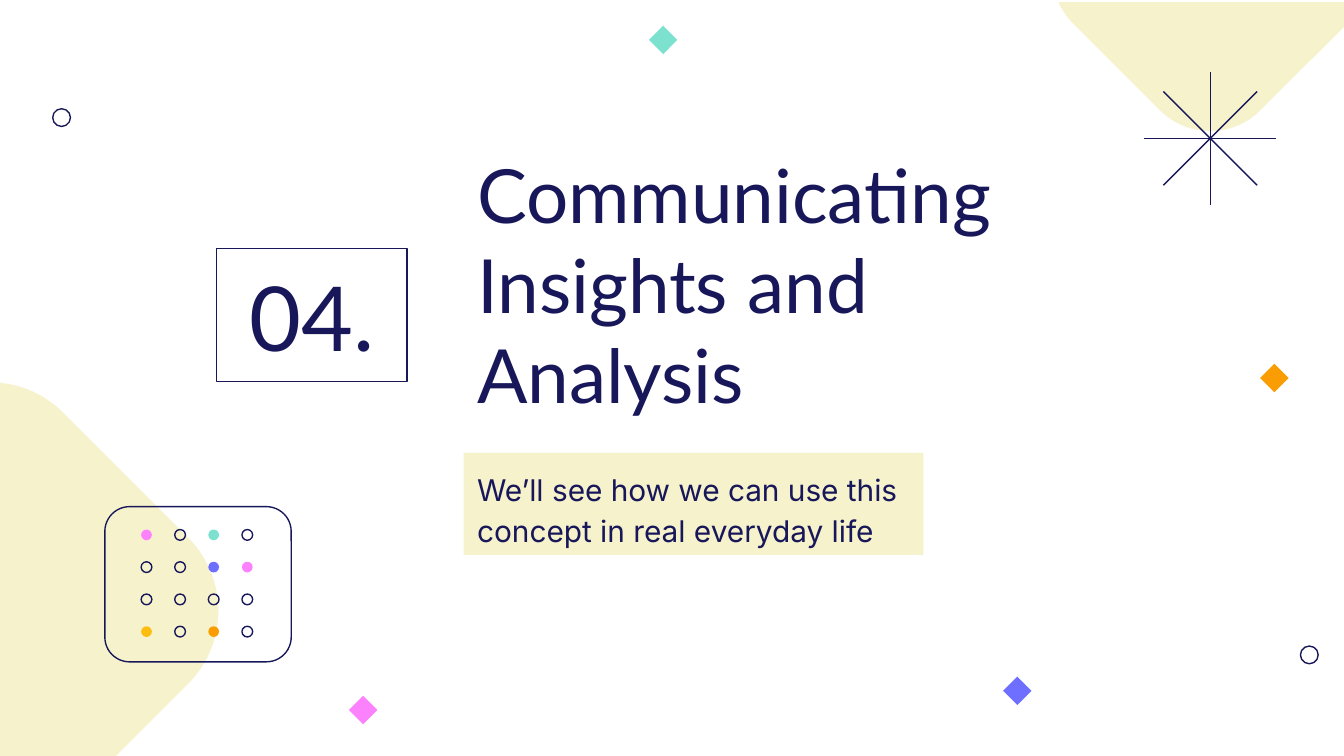
from math import cos, radians, sin

from lxml.etree import SubElement
from pptx import Presentation
from pptx.dml.color import RGBColor
from pptx.enum.shapes import MSO_CONNECTOR, MSO_SHAPE
from pptx.enum.text import MSO_ANCHOR, MSO_AUTO_SIZE, PP_ALIGN
from pptx.oxml.ns import qn
from pptx.util import Inches, Pt

NAVY = RGBColor(0x17, 0x17, 0x5A)
CREAM = RGBColor(0xF6, 0xF2, 0xCC)
MINT = RGBColor(0x7C, 0xE1, 0xCF)
ORANGE = RGBColor(0xFA, 0x9D, 0x02)
AMBER = RGBColor(0xFC, 0xBD, 0x0E)
PINK = RGBColor(0xFC, 0x81, 0xFD)
VIOLET = RGBColor(0x6E, 0x6F, 0xFF)

COLUMNS, ROWS = 100, 56.25
CELL = Inches(0.1)


def cells(*counts):
    return [round(count * CELL) for count in counts]


class SectionSlide:
    """Draws on one slide; every length is in grid cells."""

    heading_font = "Lato"
    body_font = "Inter"
    stroke = Pt(0.75)

    def __init__(self, deck):
        self.slide = deck.slides.add_slide(deck.slide_layouts[0])
        self.layer = self.slide.shapes

    def start_group(self):
        self.layer = self.slide.shapes.add_group_shape().shapes

    def end_group(self):
        self.layer = self.slide.shapes

    def paint(self, shape, fill=None, outlined=False):
        shape.shadow.inherit = False
        if fill is None:
            shape.fill.background()
        else:
            shape.fill.solid()
            shape.fill.fore_color.rgb = fill
        if outlined:
            shape.line.color.rgb = NAVY
            shape.line.width = self.stroke
        else:
            shape.line.fill.background()

    def preset(self, kind, box, fill=None, outlined=False):
        shape = self.layer.add_shape(kind, *cells(*box))
        self.paint(shape, fill, outlined)
        return shape

    def circle(self, x, y, size, fill=None):
        """Centred on x, y; a ring unless it has a fill."""
        box = (x - size / 2, y - size / 2, size, size)
        self.preset(MSO_SHAPE.OVAL, box, fill, outlined=fill is None)

    def diamond(self, x, y, fill, size=1.5):
        box = (x - size / 2, y - size / 2, size, size)
        self.preset(MSO_SHAPE.RECTANGLE, box, fill).rotation = 315

    def soft_diamond(self, x, y, reach, radius, top):
        """Diamond with round corners, cut off above the row top."""
        outline = []
        for corner in (0, 90, 180, 270):
            corner_x = x + reach * cos(radians(corner))
            corner_y = y + reach * sin(radians(corner))
            for angle in range(corner - 45, corner + 46, 3):
                point = (corner_x + radius * cos(radians(angle)),
                         corner_y + radius * sin(radians(angle)))
                if point[1] >= top:
                    outline.append(cells(*point))
        builder = self.layer.build_freeform(*outline[0], scale=1.0)
        builder.add_line_segments(outline[1:], close=True)
        self.paint(builder.convert_to_shape(), CREAM)

    def line(self, *ends):
        ray = self.layer.add_connector(MSO_CONNECTOR.STRAIGHT, *cells(*ends))
        ray.line.color.rgb = NAVY
        ray.line.width = self.stroke
        SubElement(ray._element.spPr, qn("a:effectLst"))

    def set_text(self, shape, wording, font, size, anchor,
                 align=PP_ALIGN.LEFT, spacing=1.0):
        frame = shape.text_frame
        frame.word_wrap = True
        frame.auto_size = MSO_AUTO_SIZE.NONE
        frame.vertical_anchor = anchor
        frame.margin_left = frame.margin_right = CELL
        frame.margin_top = frame.margin_bottom = CELL
        paragraph = frame.paragraphs[0]
        paragraph.alignment = align
        paragraph.line_spacing = spacing
        paragraph.space_before = Pt(0)
        run = paragraph.add_run()
        run.text = wording
        run.font.name = font
        run.font.size = Pt(size)
        run.font.color.rgb = NAVY

    def placeholder(self, index, box):
        holder = self.slide.placeholders[index]
        holder.left, holder.top, holder.width, holder.height = cells(*box)
        return holder

    def title(self, wording, box):
        self.set_text(self.placeholder(0, box), wording, self.heading_font,
                      40, MSO_ANCHOR.BOTTOM)

    def subtitle(self, wording, box):
        holder = self.placeholder(1, box)
        holder.fill.solid()
        holder.fill.fore_color.rgb = CREAM
        self.set_text(holder, wording, self.body_font, 16, MSO_ANCHOR.TOP,
                      spacing=1.15)

    def section_number(self, wording, box):
        frame = self.preset(MSO_SHAPE.RECTANGLE, box, outlined=True)
        self.set_text(frame, wording, self.heading_font, 48,
                      MSO_ANCHOR.MIDDLE, PP_ALIGN.CENTER)

    def star(self, x, y, arm):
        """Four lines crossing at x, y."""
        self.start_group()
        for angle in (0, 45, 90, 135):
            dx, dy = arm * cos(radians(angle)), arm * sin(radians(angle))
            self.line(x - dx, y - dy, x + dx, y + dy)
        self.end_group()

    def dot_panel(self, box, first_dot, pitch, dot_fills):
        self.start_group()
        panel = self.preset(MSO_SHAPE.ROUNDED_RECTANGLE, box, outlined=True)
        panel.adjustments[0] = 0.16
        for row, fills in enumerate(dot_fills):
            for column, fill in enumerate(fills):
                self.circle(first_dot[0] + column * pitch[0],
                            first_dot[1] + row * pitch[1], 0.8, fill)
        self.end_group()


def main():
    deck = Presentation()
    deck.slide_width, deck.slide_height = cells(COLUMNS, ROWS)
    section = SectionSlide(deck)

    section.soft_diamond(-0.75, 45.45, reach=9.3, radius=7.7, top=0)
    section.soft_diamond(90.05, -2, reach=6.45, radius=5.3, top=-0.1)
    for x, y in ((4.58, 8.75), (97.42, 48.73)):
        section.circle(x, y, 1.32)
    for x, y, fill in ((49.35, 2.97, MINT), (94.83, 28.13, ORANGE),
                       (27.03, 52.83, PINK), (75.7, 51.4, VIOLET)):
        section.diamond(x, y, fill)

    section.title("Communicating Insights and Analysis",
                  (34.5, 17.9, 45.4, 14.2))
    section.subtitle("We’ll see how we can use this concept in real everyday life",
                     (34.5, 33.7, 34.2, 7.6))
    section.section_number("04.", (16.1, 18.5, 14.2, 9.9))

    section.star(90.05, 10.3, arm=4.93)
    section.dot_panel((7.8, 37.7, 13.87, 11.55), first_dot=(10.9, 39.8),
                      pitch=(2.5, 2.4), dot_fills=(
                          (PINK, None, MINT, None),
                          (None, None, VIOLET, PINK),
                          (None, None, None, None),
                          (AMBER, None, ORANGE, None)))
    deck.save("out.pptx")


if __name__ == "__main__":
    main()
